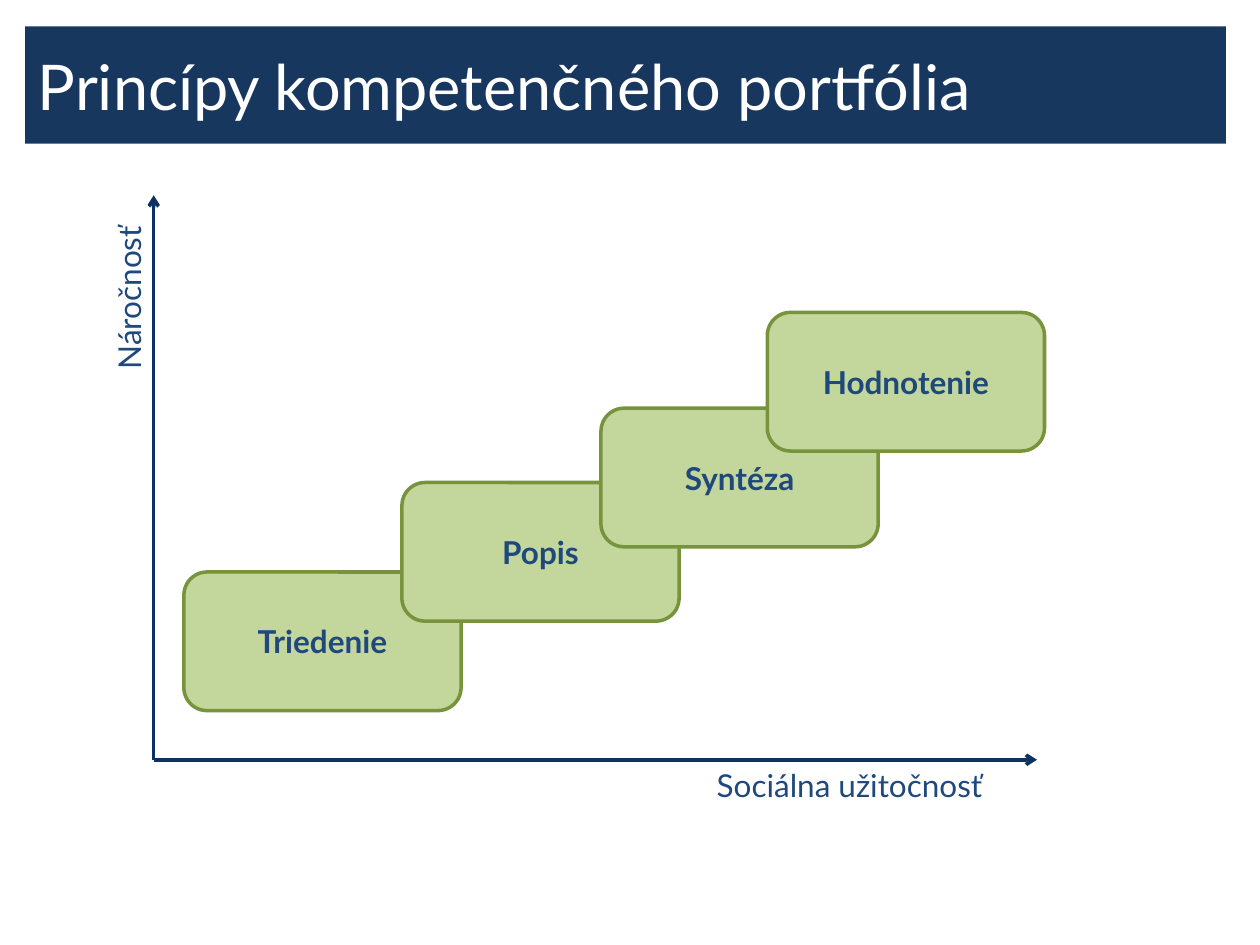
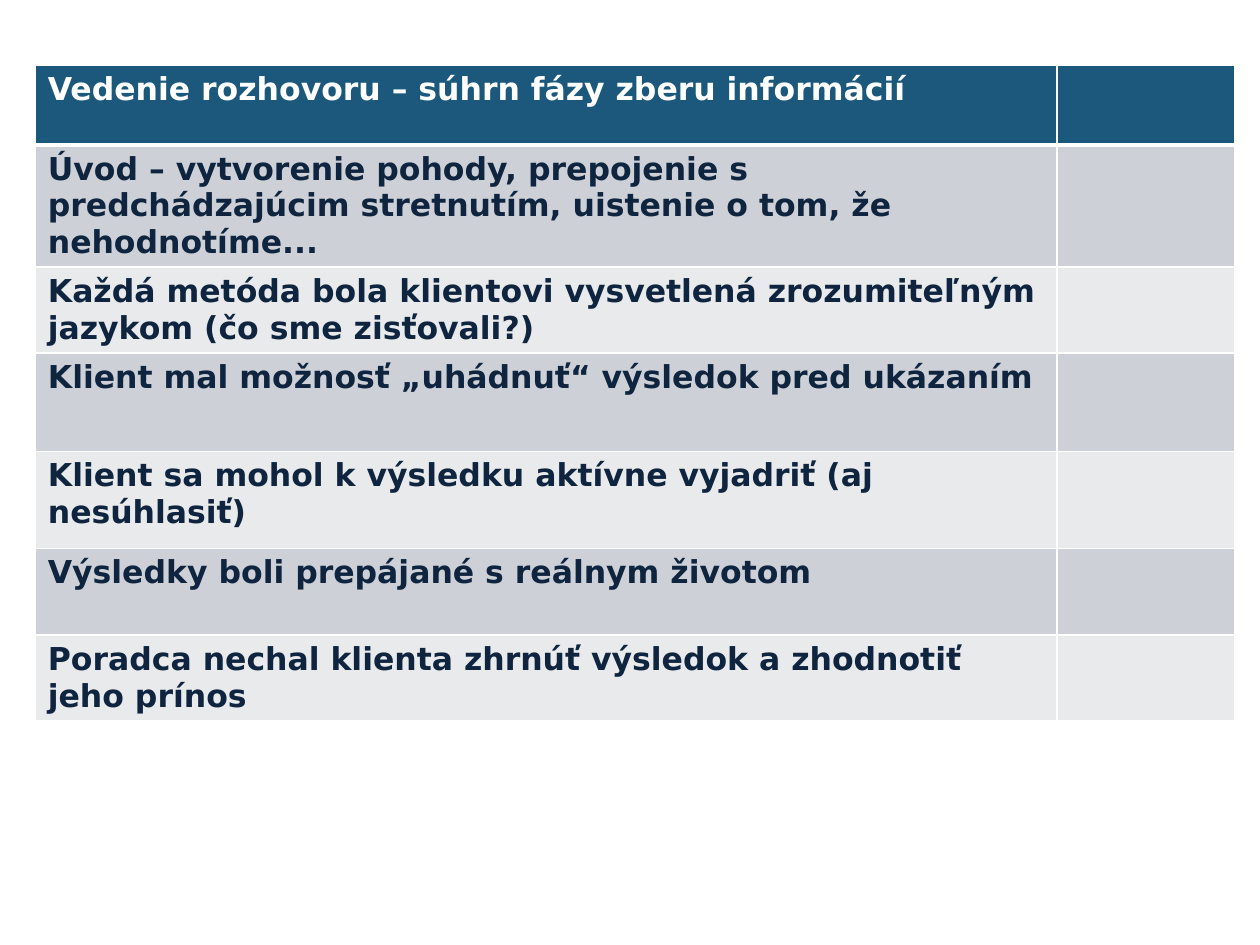
from typing import NamedTuple

from lxml.etree import SubElement
from pptx import Presentation
from pptx.dml.color import RGBColor
from pptx.enum.shapes import MSO_CONNECTOR as Connector, MSO_SHAPE as Shape
from pptx.enum.text import MSO_ANCHOR as Anchor, MSO_AUTO_SIZE as AutoSize, PP_ALIGN as Align
from pptx.oxml.ns import qn
from pptx.presentation import Presentation as Deck
from pptx.slide import Slide
from pptx.table import _Cell as Cell
from pptx.text.text import _Paragraph as Paragraph
from pptx.util import Emu, Pt

EMU_PER_PX = 9144

WHITE = RGBColor(0xFF, 0xFF, 0xFF)
BAND_NAVY = RGBColor(0x17, 0x37, 0x5E)
AXIS_NAVY = RGBColor(0x0B, 0x32, 0x61)
LABEL_BLUE = RGBColor(0x1F, 0x49, 0x7D)
STEP_GREEN = RGBColor(0xC3, 0xD6, 0x9B)
STEP_EDGE = RGBColor(0x77, 0x93, 0x3C)
HEADER_BLUE = RGBColor(0x1B, 0x58, 0x7C)
ROW_DARK = RGBColor(0xCD, 0xD1, 0xD7)
ROW_LIGHT = RGBColor(0xE8, 0xEA, 0xEC)
ROW_TEXT = RGBColor(0x0F, 0x24, 0x3E)

DIAGRAM_FONT = "Lato"
TABLE_FONT = "DejaVu Sans"
TEXT_SIZE = 18
TITLE_SIZE = 36
STEP_WIDTH, STEP_HEIGHT = 220, 110
ORIGIN = (122, 603)
COLUMN_WIDTHS = (811, 141)


class Box(NamedTuple):
    left: int
    top: int
    width: int
    height: int


class Axis(NamedTuple):
    end: tuple[int, int]
    label: str
    label_box: Box
    rotation: int


class Step(NamedTuple):
    text: str
    left: int
    top: int


class Phase(NamedTuple):
    text: str
    height: int


AXES = (
    Axis((122, 155), "Náročnosť", Box(28, 209, 148, 40), 270),
    Axis((823, 603), "Sociálna užitočnosť", Box(559, 603, 264, 40), 0),
)
STEPS = (
    Step("Triedenie", 146, 454),
    Step("Popis", 319, 383),
    Step("Syntéza", 477, 324),
    Step("Hodnotenie", 609, 248),
)
PHASES = (
    Phase("Vedenie rozhovoru – súhrn fázy zberu informácií", 63),
    Phase("Úvod – vytvorenie pohody, prepojenie s predchádzajúcim stretnutím, "
          "uistenie o tom, že nehodnotíme...", 77),
    Phase("Každá metóda bola klientovi vysvetlená zrozumiteľným jazykom "
          "(čo sme zisťovali?)", 68),
    Phase("Klient mal možnosť „uhádnuť“ výsledok pred ukázaním", 78),
    Phase("Klient sa mohol k výsledku aktívne vyjadriť (aj nesúhlasiť)", 77),
    Phase("Výsledky boli prepájané s reálnym životom", 69),
    Phase("Poradca nechal klienta zhrnúť výsledok a zhodnotiť jeho prínos", 62),
)


def px(length: int) -> Emu:
    return Emu(length * EMU_PER_PX)


def place(box: Box) -> tuple[Emu, ...]:
    return tuple(px(length) for length in box)


def add_run(paragraph: Paragraph, text: str, color: RGBColor, font: str = DIAGRAM_FONT,
            size: int = TEXT_SIZE, bold: bool = False) -> None:
    run = paragraph.add_run()
    run.text = text
    run.font.name = font
    run.font.size = Pt(size)
    run.font.bold = bold
    run.font.color.rgb = color


def add_title(slide: Slide, text: str, box: Box) -> None:
    title = slide.shapes.title
    title.left, title.top, title.width, title.height = place(box)
    title.fill.solid()
    title.fill.fore_color.rgb = BAND_NAVY
    frame = title.text_frame
    frame.auto_size = AutoSize.NONE
    frame.vertical_anchor = Anchor.MIDDLE
    frame.paragraphs[0].alignment = Align.LEFT
    add_run(frame.paragraphs[0], text, WHITE, size=TITLE_SIZE)


def add_axis(slide: Slide, axis: Axis) -> None:
    points = [px(length) for length in ORIGIN + axis.end]
    arrow = slide.shapes.add_connector(Connector.STRAIGHT, *points)
    arrow.line.color.rgb = AXIS_NAVY
    arrow.line.width = Pt(2)
    SubElement(arrow.line._get_or_add_ln(), qn("a:tailEnd"), type="arrow")
    SubElement(arrow._element.spPr, qn("a:effectLst"))

    label = slide.shapes.add_textbox(*place(axis.label_box))
    label.rotation = axis.rotation
    label.text_frame.word_wrap = False
    label.text_frame.auto_size = AutoSize.SHAPE_TO_FIT_TEXT
    add_run(label.text_frame.paragraphs[0], axis.label, LABEL_BLUE)


def add_step(slide: Slide, step: Step) -> None:
    box = Box(step.left, step.top, STEP_WIDTH, STEP_HEIGHT)
    card = slide.shapes.add_shape(Shape.ROUNDED_RECTANGLE, *place(box))
    card.shadow.inherit = False
    card.fill.solid()
    card.fill.fore_color.rgb = STEP_GREEN
    card.line.color.rgb = STEP_EDGE
    card.line.width = Pt(2)
    card.text_frame.vertical_anchor = Anchor.MIDDLE
    paragraph = card.text_frame.paragraphs[0]
    paragraph.alignment = Align.CENTER
    add_run(paragraph, step.text, LABEL_BLUE, bold=True)


def add_border(cell: Cell, side: str, points: int) -> None:
    properties = cell._tc.get_or_add_tcPr()
    border = SubElement(properties, qn(f"a:ln{side}"), w=str(Pt(points)))
    fill = SubElement(border, qn("a:solidFill"))
    SubElement(fill, qn("a:srgbClr"), val=str(WHITE))


def style_cell(cell: Cell, row: int) -> None:
    for side in "LRTB":
        is_header_rule = (row, side) in ((0, "B"), (1, "T"))
        add_border(cell, side, 3 if is_header_rule else 1)
    cell.fill.solid()
    stripe = ROW_DARK if row % 2 else ROW_LIGHT
    cell.fill.fore_color.rgb = stripe if row else HEADER_BLUE


def add_checklist(slide: Slide, left: int, top: int) -> None:
    height = sum(phase.height for phase in PHASES)
    box = Box(left, top, sum(COLUMN_WIDTHS), height)
    table = slide.shapes.add_table(len(PHASES), len(COLUMN_WIDTHS), *place(box)).table
    table.horz_banding = False
    for column, width in zip(table.columns, COLUMN_WIDTHS):
        column.width = px(width)
    for index, phase in enumerate(PHASES):
        row = table.rows[index]
        row.height = px(phase.height)
        for cell in row.cells:
            style_cell(cell, index)
        add_run(row.cells[0].text_frame.paragraphs[0], phase.text,
                ROW_TEXT if index else WHITE, font=TABLE_FONT, bold=True)


def build_principles(deck: Deck) -> None:
    slide = deck.slides.add_slide(deck.slide_layouts.get_by_name("Title Only"))
    add_title(slide, "Princípy kompetenčného portfólia", Box(20, 21, 953, 93))
    for axis in AXES:
        add_axis(slide, axis)
    for step in STEPS:
        add_step(slide, step)


def build_interview(deck: Deck) -> None:
    slide = deck.slides.add_slide(deck.slide_layouts.get_by_name("Blank"))
    add_checklist(slide, 28, 52)


def main() -> None:
    deck = Presentation()
    deck.slide_width, deck.slide_height = px(1000), px(750)
    build_principles(deck)
    build_interview(deck)
    deck.save("out.pptx")


if __name__ == "__main__":
    main()
